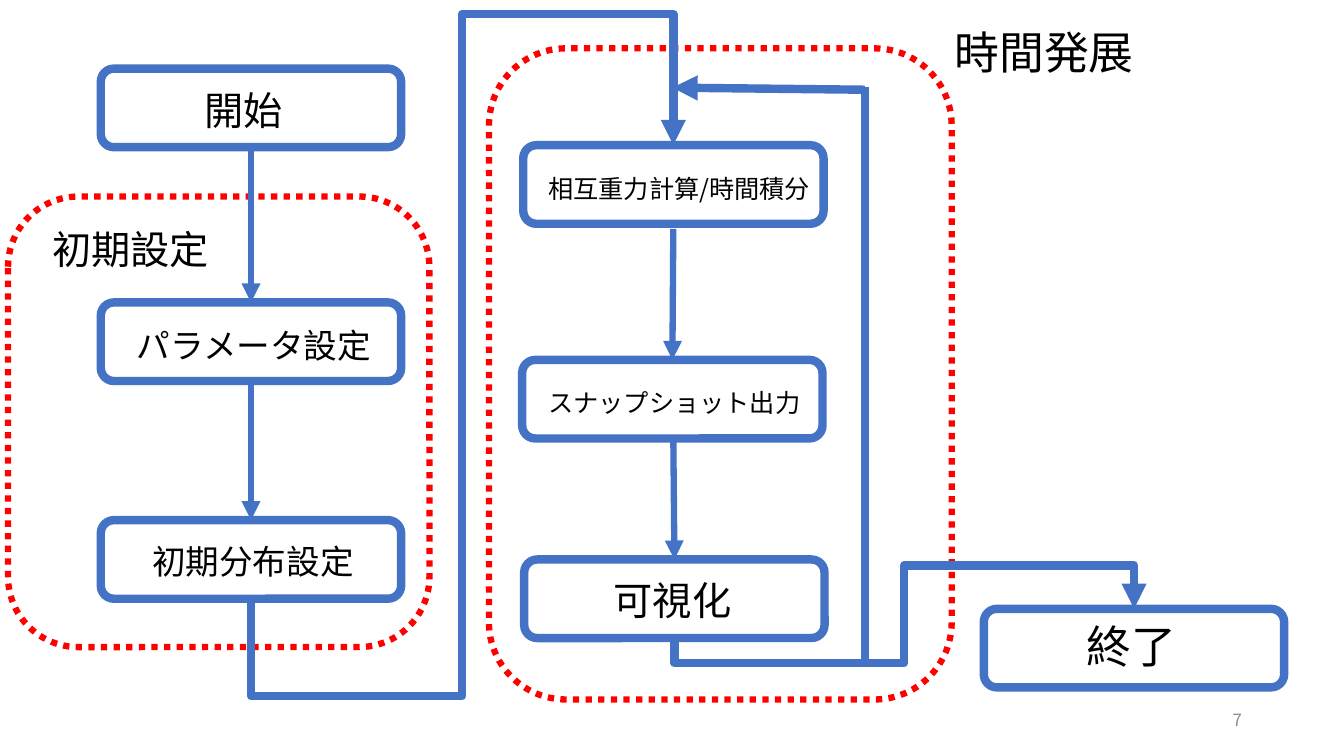
from dataclasses import dataclass
from lxml.etree import SubElement
from pptx import Presentation
from pptx.dml.color import RGBColor
from pptx.enum.dml import MSO_LINE
from pptx.enum.shapes import MSO_CONNECTOR as Conn, MSO_SHAPE as Shape
from pptx.enum.text import MSO_ANCHOR as Anchor, PP_ALIGN as Align
from pptx.oxml.ns import qn
from pptx.util import Emu, Inches, Pt

COLORS = {"blue": "4472C4", "red": "FF0000", "white": "FFFFFF",
          "black": "000000", "grey": "8C8C8C"}
FONT = "Noto Sans CJK JP"
STEP_W, STEP_H = 22.35, 10.4

prs = Presentation()
prs.slide_width, prs.slide_height = Inches(13.33), Inches(7.5)
slide = prs.slides.add_slide(prs.slide_layouts[6])


# All places and sizes are percentages of the slide's width or height
@dataclass
class Frame:
    x: float
    y: float
    w: float = STEP_W
    h: float = STEP_H


@dataclass
class Label:
    text: str
    size: int
    x: float
    y: float
    w: float
    color: str = "black"
    align: Align = Align.LEFT
    anchor: Anchor = Anchor.TOP


@dataclass
class Arrow:
    start: tuple[float, float]
    end: tuple[float, float]
    width: float = 4.5
    head: bool = True


@dataclass
class Detour:
    """Path that leaves downwards, rises to a top level and enters from above."""
    start: tuple[float, float]
    end: tuple[float, float]
    low: float
    high: float


def px(share: float) -> Emu:
    return Emu(round(prs.slide_width * share / 100))


def py(share: float) -> Emu:
    return Emu(round(prs.slide_height * share / 100))


def rgb(name: str) -> RGBColor:
    return RGBColor.from_string(COLORS[name])


def draw_frame(f: Frame, color: str, width: float, dash=None) -> None:
    sp = slide.shapes.add_shape(Shape.ROUNDED_RECTANGLE,
                                px(f.x), py(f.y), px(f.w), py(f.h))
    sp.shadow.inherit = False
    sp.fill.solid()
    sp.fill.fore_color.rgb = rgb("white")
    sp.line.color.rgb = rgb(color)
    for key, value in {"width": Pt(width), "dash_style": dash}.items():
        setattr(sp.line, key, value)


def draw_label(lb: Label) -> None:
    height = Inches(0.1) + Pt(lb.size * 1.2)
    tf = slide.shapes.add_textbox(px(lb.x), py(lb.y), px(lb.w), height).text_frame
    for key, value in {"word_wrap": True, "vertical_anchor": lb.anchor}.items():
        setattr(tf, key, value)
    p = tf.paragraphs[0]
    p.alignment = lb.align
    r = p.add_run()
    r.text = lb.text
    r.font.color.rgb = rgb(lb.color)
    for key, value in {"size": Pt(lb.size), "name": FONT}.items():
        setattr(r.font, key, value)
    SubElement(r.font._element, qn("a:ea"), typeface=FONT)


def draw_arrow(a: Arrow, kind: Conn = Conn.STRAIGHT):
    cx = slide.shapes.add_connector(kind, px(a.start[0]), py(a.start[1]),
                                    px(a.end[0]), py(a.end[1]))
    cx.line.color.rgb = rgb("blue")
    cx.line.width = Pt(a.width)
    if a.head:
        SubElement(cx.line._get_or_add_ln(), qn("a:tailEnd"), type="triangle")
    SubElement(cx._element.spPr, qn("a:effectLst"))
    return cx


def draw_detour(d: Detour) -> None:
    cx = draw_arrow(Arrow(d.start, d.end, 6), Conn.ELBOW)
    # Quarter turn: the preset runs sideways, this path runs vertically
    left, top, w, h = cx.left, cx.top, cx.width, cx.height
    cx.left, cx.top = left + (w - h) // 2, top + (h - w) // 2
    cx.width, cx.height = h, w
    spPr = cx._element.spPr
    xfrm = spPr.find(qn("a:xfrm"))
    for key, value in {"rot": "5400000", "flipH": "1", "flipV": "1"}.items():
        xfrm.set(key, value)
    geom = spPr.find(qn("a:prstGeom"))
    geom.set("prst", "bentConnector5")
    guides = geom.find(qn("a:avLst"))
    if guides is None:
        guides = SubElement(geom, qn("a:avLst"))
    rise = d.start[1] - d.end[1]
    shares = ((d.start[1] - d.low) / rise, 0.5, (d.start[1] - d.high) / rise)
    for i, share in enumerate(shares, 1):
        SubElement(guides, qn("a:gd"), name=f"adj{i}",
                   fmla=f"val {round(share * 100000)}")


# Dotted phase outlines
PHASES = [Frame(36.38, 6.4, 34.43, 86.13), Frame(0.6, 26, 31.35, 59.6)]

# Step boxes: setup column, time loop column, end
STEPS = [
    *(Frame(7.5, y) for y in (9.07, 40, 68.8)),
    Frame(38.93, 19.2), Frame(38.85, 47.6), Frame(39, 74),
    Frame(73.2, 80.53),
]

LABELS = [
    Label("開始", 28, 14.48, 10.8, 14.33),
    Label("パラメータ設定", 24, 9.45, 42.27, 22.35),
    Label("初期分布設定", 24, 10.58, 70.93, 20.1),
    Label("相互重力計算/時間積分", 18, 40.05, 22.27, 22.35),
    Label("スナップショット出力", 18, 40.05, 50.53, 20.93),
    Label("可視化", 28, 44.93, 75.6, 17.1),
    Label("終了", 32, 80.1, 81.2, 16.73),
    Label("初期設定", 28, 3.15, 29.2, 15.53),
    Label("時間発展", 32, 70.28, 2.67, 19.73),
    Label("7", 12, 70.65, 93.2, 22.5, "grey", Align.RIGHT, Anchor.MIDDLE),
]

ARROWS = [
    Arrow((18.68, 19.47), (18.68, 40)),
    Arrow((18.68, 50.4), (18.68, 68.8)),
    Arrow((50.1, 30.27), (50.03, 47.6)),
    Arrow((50.1, 57.87), (50.18, 74)),
    # Return path of the time loop
    Arrow((64.35, 87.47), (64.35, 11.47), 6, False),
    Arrow((64.35, 11.87), (50.03, 11.6), 6),
]

DETOURS = [
    Detour((18.68, 79.2), (50.1, 19.2), low=92.13, high=1.87),
    Detour((50.18, 84.4), (84.38, 80.53), low=87.73, high=74.8),
]

for phase in PHASES:
    draw_frame(phase, "red", 4.5, MSO_LINE.ROUND_DOT)
for step in STEPS:
    draw_frame(step, "blue", 6)
for label in LABELS:
    draw_label(label)
for detour in DETOURS:
    draw_detour(detour)
for arrow in ARROWS:
    draw_arrow(arrow)

prs.save("out.pptx")
